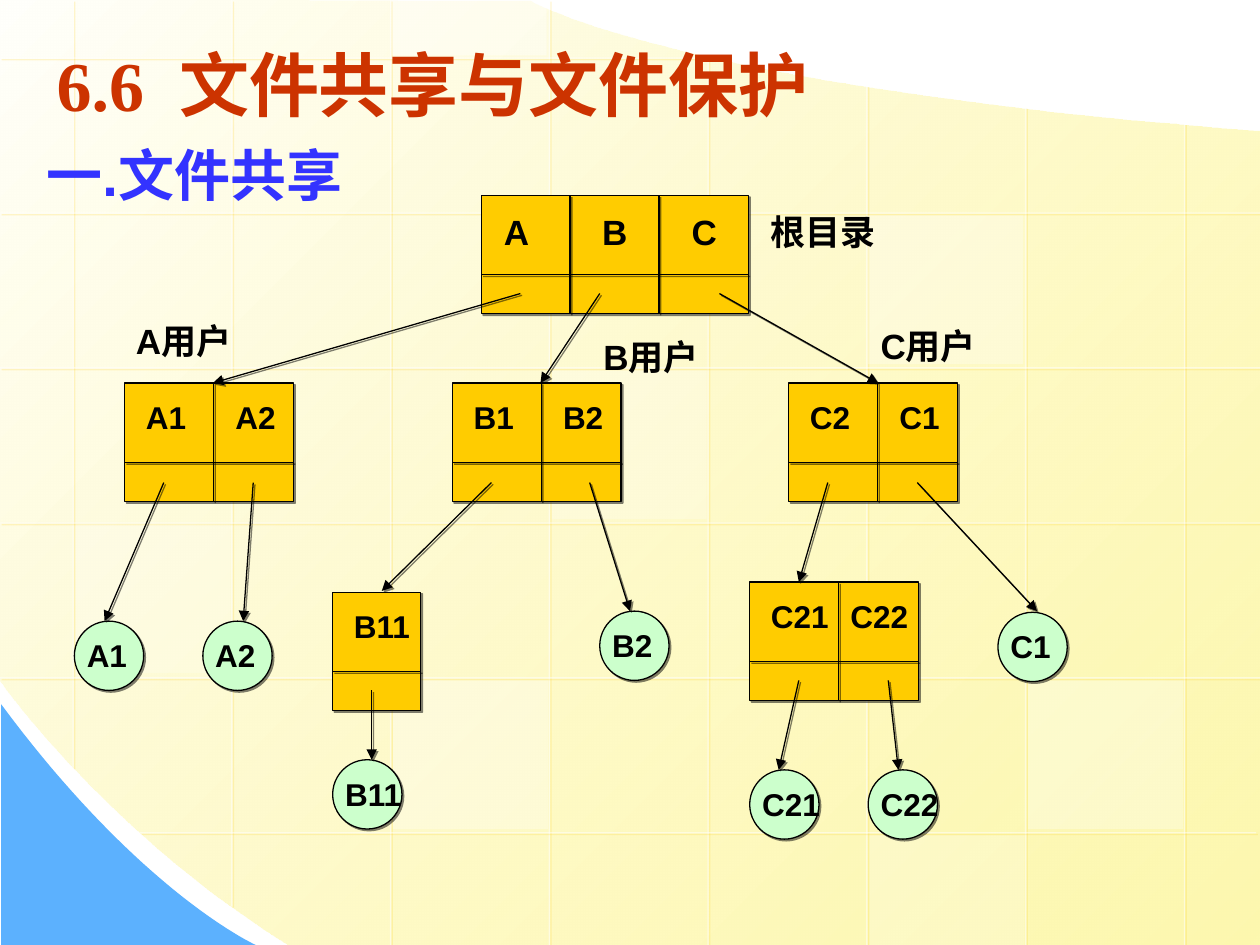
from lxml.etree import SubElement
from pptx import Presentation
from pptx.dml.color import RGBColor
from pptx.enum.shapes import MSO_CONNECTOR, MSO_SHAPE
from pptx.enum.text import MSO_ANCHOR, MSO_AUTO_SIZE, PP_ALIGN
from pptx.oxml.ns import qn
from pptx.util import Inches, Pt

BLACK = RGBColor(0x00, 0x00, 0x00)
WHITE = RGBColor(0xFF, 0xFF, 0xFF)
IVORY = RGBColor(0xFF, 0xFF, 0xFB)
PALE_YELLOW = RGBColor(0xFD, 0xF5, 0x8D)
SKY = RGBColor(0x5C, 0xB1, 0xFE)
GOLD = RGBColor(0xFF, 0xCC, 0x00)
MINT = RGBColor(0xCC, 0xFF, 0xCC)
RED = RGBColor(0xCC, 0x33, 0x00)
BLUE = RGBColor(0x33, 0x33, 0xFF)


def set_alpha(holder, percent):
    """Make the first RGB colour below the XML element translucent."""
    color = next(holder.iter(qn("a:srgbClr")))
    SubElement(color, qn("a:alpha"), val=str(percent * 1000))


def add_shadow(properties, color=BLACK, percent=50):
    effects = SubElement(properties, qn("a:effectLst"))
    shadow = SubElement(effects, qn("a:outerShdw"), dist="17961", dir="2700000",
                        algn="ctr", rotWithShape="0")
    SubElement(shadow, qn("a:srgbClr"), val=str(color))
    set_alpha(shadow, percent)


def curve(p0, p1, p2, p3, steps=40):
    """Points of a cubic Bezier curve, without its start."""
    points = []
    for step in range(1, steps + 1):
        t = step / steps
        weights = ((1 - t) ** 3, 3 * t * (1 - t) ** 2, 3 * t * t * (1 - t), t ** 3)
        points.append(tuple(sum(w * p[axis] for w, p in zip(weights, (p0, p1, p2, p3)))
                            for axis in (0, 1)))
    return points


class TreeSlide:
    font = "Arial"
    line_width = Pt(0.75)
    cell = 0.705
    directory_height = 0.94
    name_height = 0.63
    file_size = 0.55

    def __init__(self, slide):
        self.slide = slide
        self.shapes = slide.shapes

    def outline(self, points):
        start, *rest = [(Inches(x), Inches(y)) for x, y in points]
        builder = self.shapes.build_freeform(*start)
        builder.add_line_segments(rest, close=True)
        area = builder.convert_to_shape()
        area.shadow.inherit = False
        area.line.fill.background()
        return area

    def pane(self, x, y, height, percent):
        pane = self.shapes.add_shape(MSO_SHAPE.RECTANGLE, Inches(x), Inches(y),
                                     Inches(1.23), Inches(height))
        pane.shadow.inherit = False
        pane.fill.solid()
        pane.fill.fore_color.rgb = WHITE
        set_alpha(pane._element.spPr, percent)
        pane.line.fill.background()

    def line(self, x1, y1, x2, y2, color=BLACK):
        line = self.shapes.add_connector(MSO_CONNECTOR.STRAIGHT, Inches(x1), Inches(y1),
                                         Inches(x2), Inches(y2))
        line.line.color.rgb = color
        line.line.width = self.line_width
        return line

    def grid_line(self, *ends):
        properties = self.line(*ends, color=WHITE)._element.spPr
        set_alpha(properties, 50)
        add_shadow(properties, GOLD, 34)

    def rule(self, *ends):
        add_shadow(self.line(*ends)._element.spPr)

    def arrow(self, *ends):
        arrow = self.line(*ends)
        SubElement(arrow.line._get_or_add_ln(), qn("a:tailEnd"), type="triangle")
        add_shadow(arrow._element.spPr)

    def box(self, kind, color, x, y, width, height):
        box = self.shapes.add_shape(kind, Inches(x), Inches(y), Inches(width), Inches(height))
        box.fill.solid()
        box.fill.fore_color.rgb = color
        box.line.color.rgb = BLACK
        box.line.width = self.line_width
        add_shadow(box._element.spPr)

    def set_text(self, frame, text, size, color, font):
        frame.word_wrap = True
        frame.auto_size = MSO_AUTO_SIZE.SHAPE_TO_FIT_TEXT
        frame.text = text
        paragraph = frame.paragraphs[0]
        paragraph.alignment = PP_ALIGN.LEFT
        paragraph.font.name = font
        paragraph.font.size = Pt(size)
        paragraph.font.bold = True
        paragraph.font.color.rgb = color
        return paragraph

    def title(self, text):
        title = self.shapes.title
        title.left, title.top = Inches(0.35), Inches(0.28)
        title.width, title.height = Inches(6.61), Inches(0.77)
        title.text_frame.vertical_anchor = MSO_ANCHOR.TOP
        self.set_text(title.text_frame, text, 40, RED, "Times New Roman")
        self.shapes._spTree.append(title._element)  # in front of the backdrop

    def label(self, text, x, y, width, height=0.4, size=18, color=BLACK):
        label = self.shapes.add_textbox(Inches(x), Inches(y), Inches(width), Inches(height))
        paragraph = self.set_text(label.text_frame, text, size, color, self.font)
        add_shadow(paragraph.runs[0]._r.get_or_add_rPr())

    def directory(self, x, y, names, width, offsets=(0.07, 0.78), label_width=0.71, **text):
        """Names above, pointer slots below; offsets place the names from the left."""
        self.box(MSO_SHAPE.RECTANGLE, GOLD, x, y, width, self.directory_height)
        for column in range(1, len(names)):
            edge = x + column * self.cell
            self.rule(edge, y, edge, y + self.directory_height)
        for name, offset in zip(names, offsets):
            self.label(name, x + offset, y + 0.07, label_width, **text)
        self.rule(x, y + self.name_height, x + width, y + self.name_height)

    def file(self, name, x, y):
        self.box(MSO_SHAPE.OVAL, MINT, x, y, self.file_size, self.file_size)
        self.label(name, x, y + 0.07, 0.71)


def draw_backdrop(page):
    right_edge, left_edge, top_edge = (10, 1.04), (0, 5.39), (4.21, 0.01)
    paper = page.outline(
        [right_edge, (10, 7.5), (2.3, 7.5)]
        + curve((2.3, 7.5), (0.86, 6.61), (-0.01, 5.39), left_edge)
        + [(-0.01, -0.01), top_edge]
        + curve(top_edge, top_edge, (5.37, 0.69), right_edge))
    paper.fill.gradient()
    paper.fill.gradient_angle = 315
    first, last = paper.fill.gradient_stops
    first.color.rgb, last.color.rgb = IVORY, PALE_YELLOW
    first.position, last.position = 0, 1
    set_alpha(last._gs, 70)

    corner = page.outline([(0.01, 5.59), (0.01, 7.5), (2.03, 7.5)]
                          + curve((2.03, 7.5), (2.03, 7.5), (1.12, 7.09), (0.01, 5.59)))
    corner.fill.solid()
    corner.fill.fore_color.rgb = SKY

    tops = [0, 0, 0, 0, 0.43, 0.68, 0.85, 0.98]
    bottoms = [6.09, 7.19, 7.5] + [7.52] * 5
    for column, (top, bottom) in enumerate(zip(tops, bottoms)):
        x = 0.58 + 1.26 * column
        page.grid_line(x, top, x, bottom)
    spans = [(5.68, 0)] + [(10.01, 0)] * 4 + [(9.97, 1.11)]
    for row, (right, left) in enumerate(spans):
        y = 0.46 + 1.23 * row
        page.grid_line(right, y, left, y)

    for pane in [(4.38, 2.94, 1.18, 25), (8.16, 5.4, 1.18, 30), (0.6, 4.16, 1.18, 20),
                 (6.9, 6.63, 0.87, 20), (3.11, 0, 0.44, 40), (3.12, 5.4, 1.18, 30),
                 (6.89, 1.71, 1.18, 30)]:
        page.pane(*pane)


def draw_tree(page):
    page.directory(3.82, 1.55, "ABC", 2.12, offsets=(0.08, 0.86, 1.57),
                   label_width=0.47, height=0.43, size=20)
    for x, names in [(0.99, ("A1", "A2")), (3.59, ("B1", "B2")), (6.26, ("C2", "C1"))]:
        page.directory(x, 3.04, names, 1.34)
    page.directory(5.95, 4.62, ("C21", "C22"), 1.34, offsets=(0.07, 0.7))
    page.directory(2.64, 4.7, ("B11",), 0.7)

    for name, x, y in [("A1", 0.59, 4.93), ("A2", 1.61, 4.93), ("B2", 4.76, 4.85),
                       ("C1", 7.92, 4.86), ("B11", 2.64, 6.03), ("C21", 5.95, 6.11),
                       ("C22", 6.89, 6.11)]:
        page.file(name, x, y)

    for text, x, y, width in [("根目录", 6.02, 1.62, 1.34), ("A用户", 0.98, 2.49, 1.18),
                              ("B用户", 4.69, 2.61, 1.18), ("C用户", 6.89, 2.53, 1.18)]:
        page.label(text, x, y, width, 0.43, size=20)

    for pointer in [(4.13, 2.33, 1.69, 3.04), (4.76, 2.33, 4.29, 3.04),
                    (5.71, 2.33, 6.97, 3.04), (1.3, 3.83, 0.83, 4.93),
                    (2.01, 3.83, 1.93, 4.93), (3.9, 3.83, 3.03, 4.69),
                    (4.68, 3.83, 5, 4.85), (6.57, 3.83, 6.34, 4.62),
                    (7.28, 3.83, 8.23, 4.85), (6.34, 5.4, 6.18, 6.11),
                    (7.05, 5.4, 7.13, 6.11), (2.95, 5.48, 2.95, 6.03)]:
        page.arrow(*pointer)


def main():
    deck = Presentation()
    deck.slide_width, deck.slide_height = Inches(10), Inches(7.5)
    page = TreeSlide(deck.slides.add_slide(deck.slide_layouts[5]))
    draw_backdrop(page)
    page.title("6.6  文件共享与文件保护")
    page.label("一.文件共享", 0.27, 1.07, 3.15, 0.63, size=32, color=BLUE)
    draw_tree(page)
    deck.save("out.pptx")


if __name__ == "__main__":
    main()
